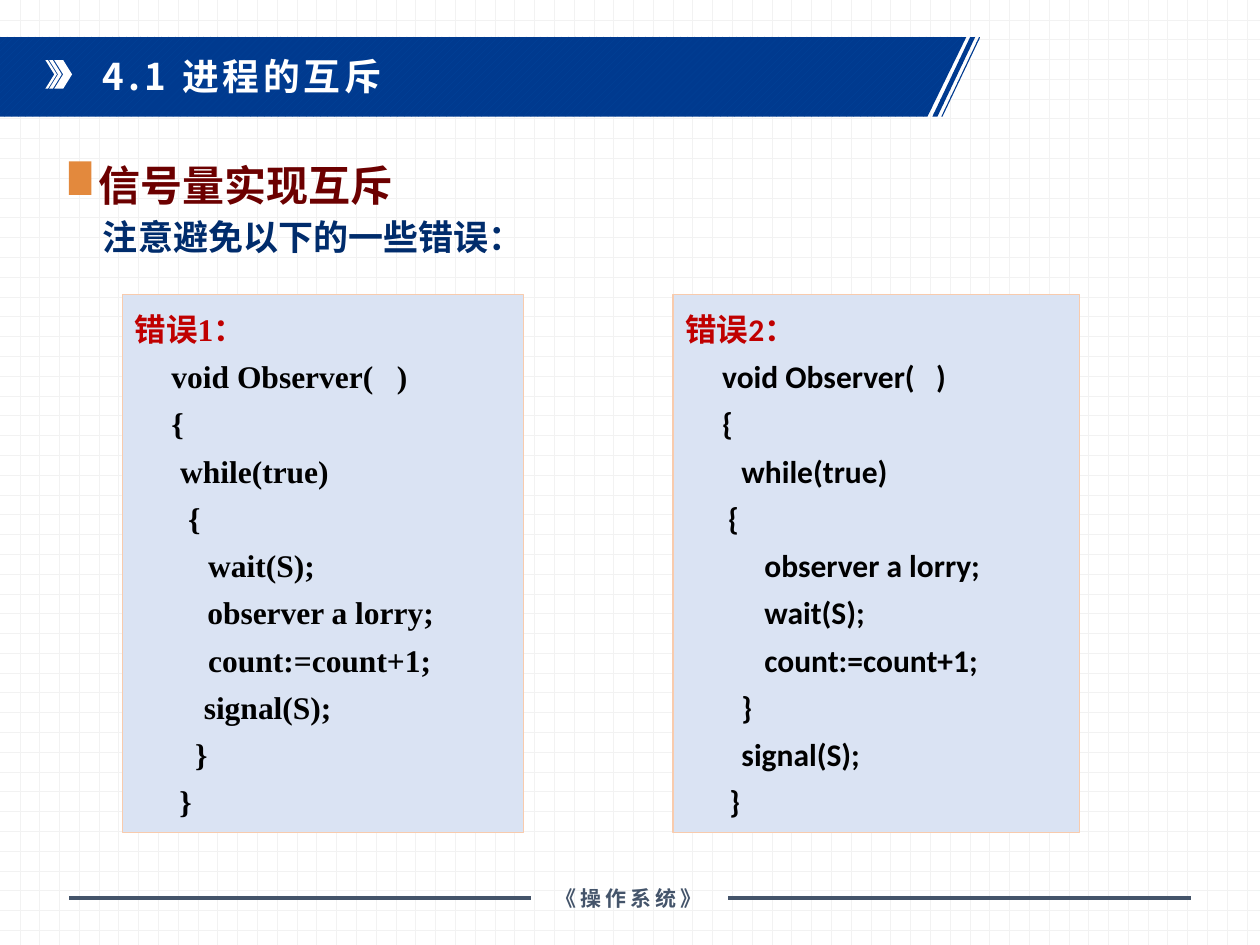
from lxml import etree
from pptx import Presentation
from pptx.dml.color import RGBColor
from pptx.enum import dml, shapes, text
from pptx.oxml import ns
from pptx.util import Pt

WHITE = RGBColor(0xFF, 0xFF, 0xFF)
BLACK = RGBColor(0, 0, 0)
GRID = RGBColor(0xF2, 0xF2, 0xF2)
BLUE = RGBColor(0x00, 0x3A, 0x8F)
STRIPE = RGBColor(0x00, 0x44, 0x9A)
SLATE = RGBColor(0x44, 0x54, 0x6A)
MAROON = RGBColor(0x6C, 0, 0)
NAVY = RGBColor(0x00, 0x2C, 0x6C)
RED = RGBColor(0xC0, 0, 0)
PALE = RGBColor(0xDA, 0xE3, 0xF3)
PEACH = RGBColor(0xF8, 0xCB, 0xAD)
ORANGE = RGBColor(0xE3, 0x89, 0x3D)
HAN = "Noto Sans CJK SC"
FIT = text.MSO_AUTO_SIZE.SHAPE_TO_FIT_TEXT

# Code lines: first-line indent in points, then the text
ERR1 = [
    (21, "void Observer(   )"), (21, "{"), (26, "while(true)"), (26, " {"),
    (42, "wait(S);"), (37, " observer a lorry;"), (42, "count:=count+1;"),
    (26, "   signal(S);"), (21, "   }"), (21, " }"),
]
ERR2 = [
    (21, "void Observer(   )"), (21, "{"), (32, "while(true)"), (0, "      {"),
    (37, "  observer a lorry;"), (37, "  wait(S);"), (37, "  count:=count+1;"),
    (32, "}"), (32, "signal(S);"), (21, " }"),
]


def hatch(fill, kind, fore, back):
    fill.patterned()
    fill.pattern = kind
    fill.fore_color.rgb = fore
    fill.back_color.rgb = back


def paint(shape, color):
    shape.shadow.inherit = False
    shape.fill.solid()
    shape.fill.fore_color.rgb = color
    shape.line.fill.background()
    return shape


def block(slide, kind, color, *box):
    return paint(slide.shapes.add_shape(kind, *map(Pt, box)), color)


def outline(slide, color, *loops):
    pen = None
    for loop in loops:
        dots = [(Pt(x), Pt(y)) for x, y in loop]
        if pen is None:
            pen = slide.shapes.build_freeform(*dots[0])
        else:
            pen.move_to(*dots[0])
        pen.add_line_segments(dots[1:], close=True)
    return paint(pen.convert_to_shape(), color)


def style(para, words, size, color, face=HAN, space=0):
    run = para.add_run()
    run.text = words
    font = para.font
    font.size, font.bold, font.name = Pt(size), True, face
    font.color.rgb = color
    props = run._r.get_or_add_rPr()
    if space:
        props.set("spc", str(space))
    etree.SubElement(props, ns.qn("a:ea")).set("typeface", HAN)


def label(slide, box, words, size, color, wrap=True, **more):
    frame = slide.shapes.add_textbox(*map(Pt, box)).text_frame
    frame.word_wrap = wrap
    style(frame.paragraphs[0], words, size, color, **more)
    return frame


def rule(slide, x1, x2, y):
    line = slide.shapes.add_connector(
        shapes.MSO_CONNECTOR.STRAIGHT, Pt(x1), Pt(y), Pt(x2), Pt(y))
    line.line.color.rgb = SLATE
    line.line.width = Pt(2)
    etree.SubElement(line._element.spPr, ns.qn("a:effectLst"))


def panel(slide, left, width, head, code, face):
    shape = block(slide, shapes.MSO_SHAPE.RECTANGLE, PALE,
                  left, 168.2, width, 307.4)
    shape.line.color.rgb = PEACH
    shape.line.width = Pt(0.75)
    frame = shape.text_frame
    frame.word_wrap = True
    frame.auto_size = FIT
    frame.vertical_anchor = text.MSO_ANCHOR.TOP
    for i, (dent, words) in enumerate([(0, head)] + code):
        para = frame.paragraphs[0] if i == 0 else frame.add_paragraph()
        para.alignment = text.PP_ALIGN.JUSTIFY
        para.line_spacing = 1.25
        if dent:
            para._p.get_or_add_pPr().set("indent", str(Pt(dent)))
        style(para, words, 18, BLACK if i else RED, face)


def banner(slide):
    top, base = 21.1, 66.6
    bars = [(559.5, 560.2, 538.6, 537.9), (554.4, 557.3, 535.7, 532.8),
            (0, 552.2, 530, 0)]
    shape = outline(slide, BLUE, *(
        [(a, top), (b, top), (c, base), (d, base)] for a, b, c, d in bars))
    hatch(shape.fill, dml.MSO_PATTERN.WIDE_UPWARD_DIAGONAL, STRIPE, BLUE)

    # Triple arrow
    high, mid, low = 34.3, 42.5, 50.7
    block(slide, shapes.MSO_SHAPE.CHEVRON, WHITE, 31, high, 10.2, low - high)
    for x, thick in ((28.1, 2.1), (25.9, 1.5)):
        tip = x + 5.1
        outline(slide, WHITE, [
            (x, high), (x + thick, high), (tip + thick, mid),
            (x + thick, low), (x, low), (tip, mid)])


def main():
    deck = Presentation()
    deck.slide_width, deck.slide_height = Pt(720), Pt(540)
    slide = deck.slides.add_slide(deck.slide_layouts[6])
    hatch(slide.background.fill, dml.MSO_PATTERN.DOTTED_GRID, GRID, WHITE)

    # Banner and title
    banner(slide)
    frame = label(slide, (51.8, 30.2, 449.3, 40.3), "4.1 进程的互斥",
                  21, WHITE, space=220)
    frame.paragraphs[0].line_spacing = 0.9

    # Footer
    frame = label(slide, (303.1, 502.6, 112.3, 21.6), "《操作系统》",
                  12, SLATE, face="Arial", space=220)
    frame.vertical_anchor = text.MSO_ANCHOR.MIDDLE
    frame.paragraphs[0].alignment = text.PP_ALIGN.CENTER
    for x1, x2 in ((39.5, 303.7), (416.2, 680.5)):
        rule(slide, x1, x2, 513.2)

    # Headings
    frame = label(slide, (49, 80.6, 184.3, 43.9), "信号量实现互斥",
                  24, MAROON, wrap=False)
    frame.paragraphs[0].line_spacing = 1.25
    label(slide, (51.8, 119.5, 280.8, 31.7), "注意避免以下的一些错误：", 20, NAVY)
    block(slide, shapes.MSO_SHAPE.RECTANGLE, ORANGE, 39.4, 92.2, 12.8, 19.2)

    # Code panels
    panel(slide, 69.9, 229.2, "错误1：", ERR1, "Times New Roman")
    panel(slide, 384.6, 232.4, "错误2：", ERR2, "Calibri")

    deck.save("out.pptx")


if __name__ == "__main__":
    main()
